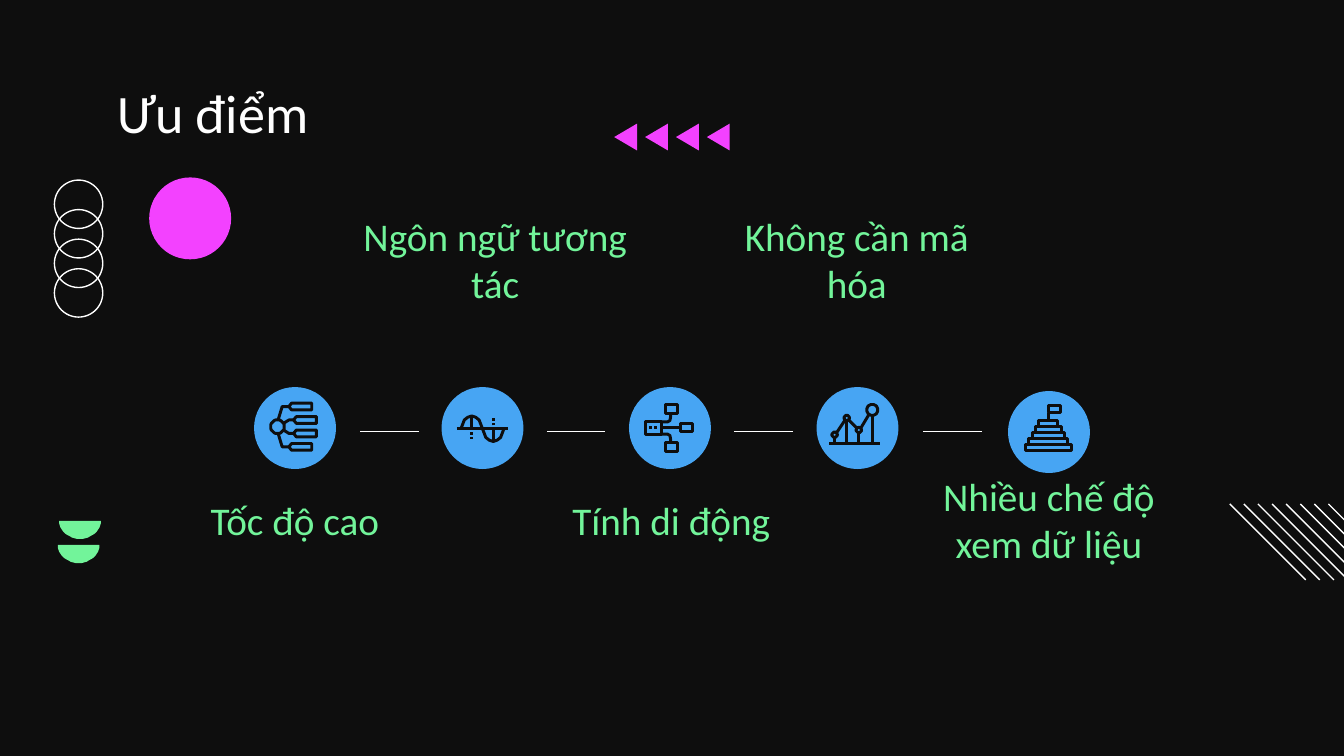
from dataclasses import dataclass
from math import cos, pi, sin

from lxml import etree
from pptx import Presentation
from pptx.dml.color import RGBColor
from pptx.enum.shapes import MSO_CONNECTOR, MSO_SHAPE
from pptx.enum.text import MSO_ANCHOR, PP_ALIGN
from pptx.oxml.ns import qn
from pptx.util import Pt

PX = 4572  # EMU; 200 px to the inch
OVAL = MSO_SHAPE.OVAL
STRAIGHT = MSO_CONNECTOR.STRAIGHT
TOP, MIDDLE = MSO_ANCHOR.TOP, MSO_ANCHOR.MIDDLE
LEFT, CENTER = PP_ALIGN.LEFT, PP_ALIGN.CENTER


@dataclass(frozen=True)
class Theme:
    dark: str = "0E0E0E"
    white: str = "FFFFFF"
    green: str = "72F49A"
    blue: str = "47A5F3"
    pink: str = "F341FF"
    font: str = "Calibri"
    title: int = 29
    label: int = 21
    thin: float = 0.75
    bold: float = 1.6


def rgb(code):
    return RGBColor.from_string(code)


def arc(x, y, rx, ry, turn):
    """Points along an ellipse, clockwise from its right end."""
    steps = 24
    angles = [turn * i / steps for i in range(steps + 1)]
    return [(round(x + rx * cos(a)), round(y + ry * sin(a))) for a in angles]


def ring(x, y, r):
    return arc(x, y, r, r, 2 * pi)


def box(left, top, right, bottom):
    return [(left, top), (right, top), (right, bottom), (left, bottom), (left, top)]


def flip(points, axis):
    return [(x, 2 * axis - y) for x, y in points]


class Board:
    def __init__(self, slide, theme):
        self.slide, self.theme = slide, theme
        self.shapes = slide.shapes
        fill = slide.background.fill
        fill.solid()
        fill.fore_color.rgb = rgb(theme.dark)

    def paint(self, shape, fill=None, line=None, width=None):
        shape.shadow.inherit = False
        if fill:
            shape.fill.solid()
            shape.fill.fore_color.rgb = rgb(fill)
        else:
            shape.fill.background()
        if line:
            shape.line.color.rgb = rgb(line)
            shape.line.width = Pt(width)
        else:
            shape.line.fill.background()

    def disc(self, x, y, size, **look):
        shape = self.shapes.add_shape(OVAL, x * PX, y * PX, size * PX, size * PX)
        self.paint(shape, **look)

    def free(self, parts, **look):
        """One freeform from several runs of points."""
        pen = self.shapes.build_freeform(*parts[0][0], scale=1 / PX if PX < 1 else PX)
        for i, part in enumerate(parts):
            if i:
                pen.move_to(*part[0])
            pen.add_line_segments(part[1:], close=part[0] == part[-1])
        self.paint(pen.convert_to_shape(), **look)

    def icon(self, parts):
        self.free(parts, line=self.theme.dark, width=self.theme.bold)

    def line(self, x, y, dx, dy=0):
        link = self.shapes.add_connector(
            STRAIGHT, x * PX, y * PX, (x + dx) * PX, (y + dy) * PX)
        link.line.color.rgb = rgb(self.theme.white)
        link.line.width = Pt(self.theme.thin)
        etree.SubElement(link._element.spPr, qn("a:effectLst"))

    def text(self, words, x, y, w, h, size, color, align=CENTER, anchor=MIDDLE, head=20):
        frame = self.shapes.add_textbox(x * PX, y * PX, w * PX, h * PX).text_frame
        frame.word_wrap = True
        frame.vertical_anchor = anchor
        frame.margin_left = frame.margin_right = frame.margin_bottom = 20 * PX
        frame.margin_top = head * PX
        para = frame.paragraphs[0]
        para.text = words
        para.alignment = align
        para.font.name = self.theme.font
        para.font.size = Pt(size)
        para.font.color.rgb = rgb(color)


def decor(board):
    look = board.theme
    for x, y in ((86, 811), (88, 775)):
        half = arc(x + 31, y, 31, 27, pi)
        board.free([half + half[:1]], fill=look.green)
    for i in range(4):
        board.disc(81, 268 + 44 * i, 72, line=look.white, width=look.thin)
        x = 914 + 46 * i
        board.free([[(x + 34, 184), (x, 204), (x + 34, 224), (x + 34, 184)]],
                   fill=look.pink)
    for i in range(8):
        board.line(1830 + 21 * i, 750, 113, 113)
    board.disc(222, 264, 122, fill=look.pink)


def tree(board):
    axis = 635
    parts = [ring(413, axis, 10)]
    top = [(414, 625), (420, 605), (430, 605)]
    inner = [(422, 630), (430, 625), (437, 625)]
    for x, y, link in ((430, 605, top), (437, 625, inner)):
        bar = [(x, y), (x + 4, y - 5), (x + 34, y - 5),
               (x + 34, y + 5), (x + 4, y + 5), (x, y)]
        parts += [link, flip(link, axis), bar, flip(bar, axis)]
    board.icon(parts)


def wave(board):
    axis = 638
    hump = [(686, 638), (691, 625), (696, 621), (702, 619),
            (708, 621), (713, 625), (718, 638)]
    dip = [(x + 32, y) for x, y in flip(hump, axis)]
    parts = [[(680, axis), (756, axis)], hump + dip[1:],
             [(702, 619), (702, axis)], [(734, axis), (734, 657)]]
    for y in (643, 650):
        dash = [(702, y), (702, y + 4)]
        parts += [dash, [(734, b) for _, b in flip(dash, axis)]]
    board.icon(parts)


def flow(board):
    axis = 637
    bend = [(984, 628), (993, 628), (997, 626), (998, 620), (998, 615)]
    node = box(990, 602, 1008, 615)
    board.icon([
        node, flip(node, axis), bend, flip(bend, axis),
        box(960, 628, 984, 646), box(1012, 630, 1030, 642),
        [(984, 636), (1012, 636)],
        [(966, 636), (970, 636)], [(974, 636), (978, 636)]])


def chart(board):
    base = 660
    parts = [[(1234, base), (1309, base)]]
    for x, y, r in ((1242, 647, 4), (1260, 622, 4), (1278, 640, 4), (1298, 610, 8)):
        parts += [ring(x, y, r), [(x, y + r), (x, base)]]
    parts += [[(1245, 644), (1257, 626)], [(1263, 625), (1275, 637)],
              [(1281, 637), (1293, 617)]]
    board.icon(parts)


def stairs(board):
    mid = 1560
    parts = [box(mid, 604, mid + 18, 614), [(mid, 614), (mid, 626)]]
    for i in range(5):
        half, top = 14 + 5 * i, 626 + 9 * i
        parts.append(box(mid - half, top, mid + half, top + 9))
    board.icon(parts)


def main():
    deck = Presentation()
    deck.slide_width, deck.slide_height = 2000 * PX, 1125 * PX
    look = Theme()
    board = Board(deck.slides.add_slide(deck.slide_layouts[6]), look)
    decor(board)
    board.text("Ưu điểm", 156, 118, 1688, 92, look.title, look.white, LEFT, TOP, 0)
    for words, x, y, w, h in (
            ("Không cần mã hóa", 1058, 340, 434, 92),
            ("Nhiều chế độ xem dữ liệu", 1344, 720, 434, 106),
            ("Ngôn ngữ tương tác", 500, 340, 474, 92),
            ("Tốc độ cao", 222, 720, 434, 106),
            ("Tính di động", 782, 720, 434, 106)):
        board.text(words, x, y, w, h, look.label, look.green)
    for i in range(4):
        board.disc(378 + 279 * i, 576, 122, fill=look.blue)
    board.disc(1500, 582, 122, fill=look.blue)
    for x in (536, 814, 1093, 1374):
        board.line(x, 642, 87)
    for draw in (tree, wave, flow, chart, stairs):
        draw(board)
    deck.save("out.pptx")


if __name__ == "__main__":
    main()
